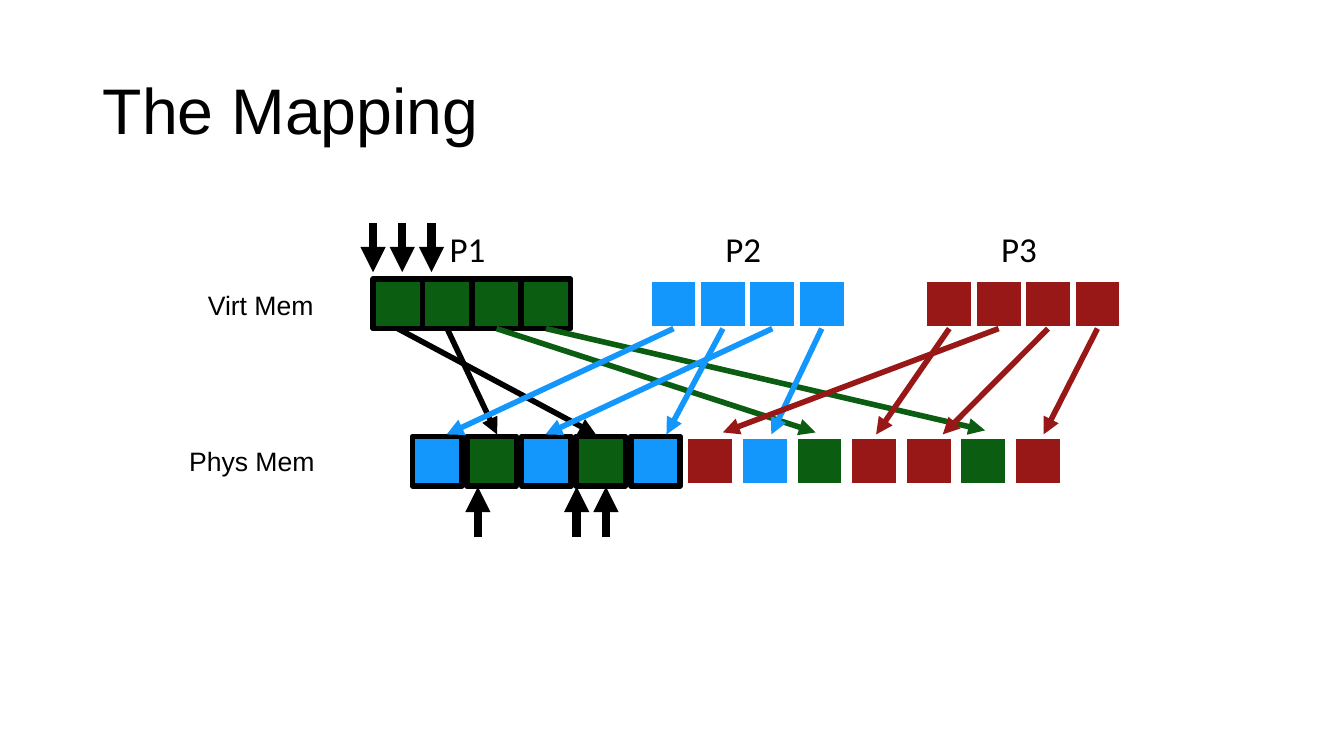
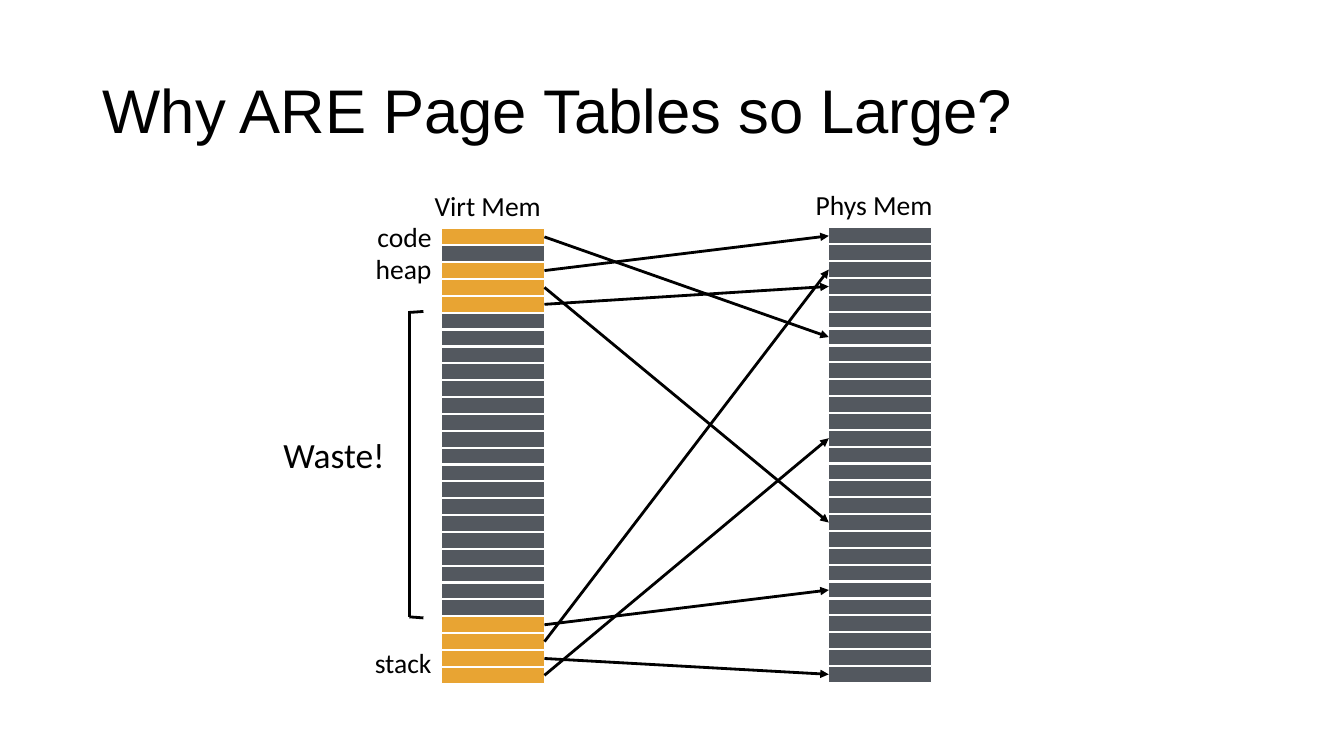
import lxml.etree
import pptx
import pptx.dml.color
import pptx.enum.shapes
import pptx.enum.text
import pptx.oxml.ns
import pptx.util

Inches = pptx.util.Inches
Align = pptx.enum.text.PP_ALIGN
BOTTOM, LEFT, RIGHT = 2, 1, 3

COLORS = {
    "black": "000000",
    "white": "FFFFFF",
    "green": "0B5D12",
    "blue": "1497FC",
    "red": "971817",
    "amber": "E8A433",
    "slate": "53585F",
}
TITLE_BOX = (0.92, 0.4, 11.5, 1.45)
LABEL_FRAME = {
    "word_wrap": False,
    "auto_size": pptx.enum.text.MSO_AUTO_SIZE.SHAPE_TO_FIT_TEXT,
    "vertical_anchor": pptx.enum.text.MSO_ANCHOR.MIDDLE,
    "margin_left": Inches(0.04),
    "margin_right": Inches(0.04),
    "margin_top": Inches(0.04),
    "margin_bottom": Inches(0.04),
}
TITLE_FRAME = {
    "word_wrap": True,
    "auto_size": pptx.enum.text.MSO_AUTO_SIZE.NONE,
    "vertical_anchor": pptx.enum.text.MSO_ANCHOR.MIDDLE,
}


def set_all(target, values):
    for name, value in values.items():
        setattr(target, name, value)


def rgb(name):
    return pptx.dml.color.RGBColor.from_string(COLORS[name])


def write_text(frame, text, font_name, size, paragraph_format):
    para = frame.paragraphs[0]
    set_all(para, paragraph_format)
    span = para.add_run()
    span.text = text
    set_all(span.font, {"name": font_name, "size": pptx.util.Pt(size)})
    span.font.color.rgb = rgb("black")


def add_page(deck, title, size):
    page = deck.slides.add_slide(deck.slide_layouts[5])
    heading = page.shapes.title
    names = ("left", "top", "width", "height")
    set_all(heading, {name: Inches(value) for name, value in zip(names, TITLE_BOX)})
    set_all(heading.text_frame, TITLE_FRAME)
    write_text(heading.text_frame, title, "Arial", size,
               {"alignment": Align.LEFT, "line_spacing": 0.9})
    return page


def add_label(page, box, text, size, font_name="Calibri", alignment=Align.LEFT):
    label = page.shapes.add_textbox(*map(Inches, box))
    set_all(label.text_frame, LABEL_FRAME)
    write_text(label.text_frame, text, font_name, size, {"alignment": alignment})


def add_cell(page, box, fill, outline, width):
    cell = page.shapes.add_shape(
        pptx.enum.shapes.MSO_SHAPE.RECTANGLE, *map(Inches, box))
    cell.shadow.inherit = False
    cell.fill.solid()
    cell.fill.fore_color.rgb = rgb(fill)
    cell.line.color.rgb = rgb(outline)
    cell.line.width = pptx.util.Pt(width)
    return cell


def add_line(page, start, end, width, color="black", arrow=True):
    line = page.shapes.add_connector(
        pptx.enum.shapes.MSO_CONNECTOR.STRAIGHT, *map(Inches, (*start, *end)))
    line.line.color.rgb = rgb(color)
    line.line.width = pptx.util.Pt(width)
    properties = line.element.spPr
    if arrow:
        outline = properties.find(pptx.oxml.ns.qn("a:ln"))
        lxml.etree.SubElement(outline, pptx.oxml.ns.qn("a:tailEnd"), type="triangle")
    lxml.etree.SubElement(properties, pptx.oxml.ns.qn("a:effectLst"))
    return line


def add_memory_row(page, box, fills, framed):
    left, top, width, side = box
    pitch = (width - side) / (len(fills) - 1)
    return [
        add_cell(page, (left + index * pitch, top, side, side), fill,
                 "black" if index < framed else "white", 4)
        for index, fill in enumerate(fills)
    ]


def add_process(page, box, name, color, framed, arrows):
    left, top, width, side = box
    cells = add_memory_row(page, box, [color] * 4, framed)
    for index, (cell, (end, arrow_color)) in enumerate(zip(cells, arrows)):
        start = (left + side / 2 + index * (width - side) / 3, top + side)
        line = add_line(page, start, end, 4, arrow_color)
        line.begin_connect(cell, BOTTOM)
    add_label(page, (left + 0.72, top - 0.55, 0.44, 0.5), name, 25)


def add_access_arrows(page, columns, start, end):
    for x in columns:
        add_line(page, (x, start), (x, end), 6)


def build_mapping(deck):
    page = add_page(deck, "The Mapping", 46)
    for box, text in (((2.01, 2.82, 1.14, 0.4), "Virt Mem"),
                      ((1.82, 4.37, 1.34, 0.4), "Phys Mem")):
        add_label(page, box, text, 19, "Arial", Align.RIGHT)
    frames = ["blue", "green", "blue", "green", "blue", "red",
              "blue", "green", "red", "red", "green", "red"]
    add_memory_row(page, (4.09, 4.33, 6.45, 0.49), frames, 5)
    processes = [
        ("P1", "green", 4, [((5.91, 4.31), "black"), ((4.93, 4.31), "black"),
                            ((8.09, 4.29), "green"), ((9.77, 4.27), "green")]),
        ("P2", "blue", 0, [((x, 4.31), "blue") for x in (4.43, 6.61, 5.41, 7.65)]),
        ("P3", "red", 0, [((8.69, 4.31), "red"), ((7.17, 4.29), "red"),
                          ((9.35, 4.31), "red"), ((10.35, 4.31), "red")]),
    ]
    for index, process in enumerate(processes):
        add_process(page, (3.7 + index * 2.735, 2.77, 1.96, 0.49), *process)
    add_access_arrows(page, (3.7, 3.99, 4.28), 2.21, 2.7)
    add_access_arrows(page, (4.74, 5.72, 6.01), 5.33, 4.83)


def add_memory_column(page, box, name, label_box, used):
    left, top, width, height = box
    rows, row_height = 27, 0.16
    pitch = (height - row_height) / (rows - 1)
    add_label(page, label_box, name, 19.7)
    return [
        add_cell(page, (left, top + row * pitch, width, row_height),
                 "amber" if row in used else "slate", "white", 1)
        for row in range(rows)
    ]


def add_bracket(page, box):
    left, top, width, height = box
    right, bottom = left + width, top + height
    for start, end in (((left, bottom - 0.01), (left, top)),
                       ((right, top), (left, top + 0.01)),
                       ((right, bottom), (left, bottom - 0.01))):
        add_line(page, start, end, 2, arrow=False)


def build_page_tables(deck):
    page = add_page(deck, "Why ARE Page Tables so Large?", 44)
    mapping = {0: 6, 2: 0, 3: 17, 4: 3, 23: 21, 24: 2, 25: 26, 26: 12}
    virtual = add_memory_column(page, (4.38, 2.27, 1.02, 4.51), "Virt Mem",
                                (4.27, 1.83, 1.14, 0.41), mapping)
    physical = add_memory_column(page, (8.22, 2.26, 1.02, 4.51), "Phys Mem",
                                 (8.05, 1.82, 1.25, 0.41), ())
    for source, target in mapping.items():
        line = add_line(page, (5.4, 2.35), (8.22, 2.34), 2)
        line.begin_connect(virtual[source], RIGHT)
        line.end_connect(physical[target], LEFT)
    for text, top in (("code", 2.14), ("heap", 2.46), ("stack", 6.37)):
        add_label(page, (3.67, top, 0.65, 0.41), text, 19.7, alignment=Align.RIGHT)
    add_label(page, (2.77, 4.26, 1.09, 0.5), "Waste!", 25.3)
    add_bracket(page, (4.06, 3.09, 0.14, 3.04))


def main():
    deck = pptx.Presentation()
    set_all(deck, {"slide_width": Inches(13.33), "slide_height": Inches(7.5)})
    build_mapping(deck)
    build_page_tables(deck)
    deck.save("out.pptx")


if __name__ == "__main__":
    main()
